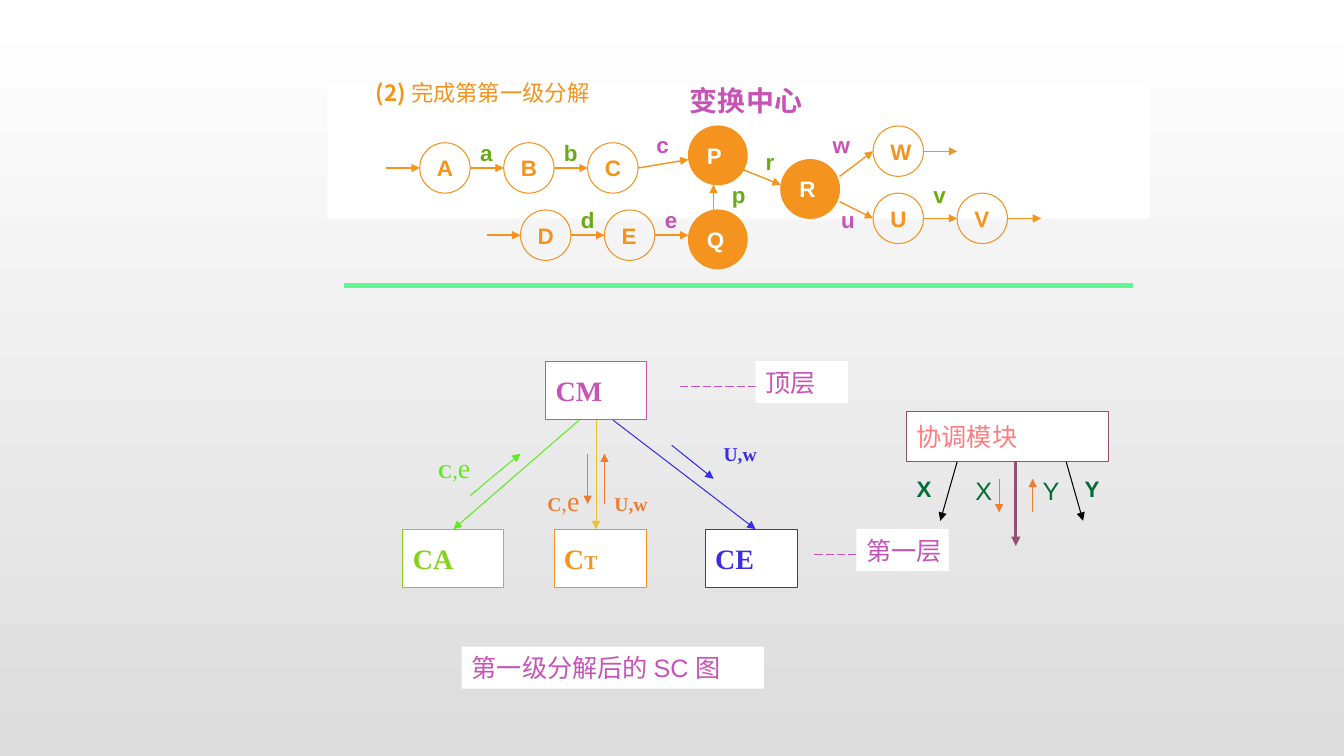
from lxml.etree import SubElement
from pptx import Presentation
from pptx.dml.color import RGBColor
from pptx.enum.dml import MSO_LINE
from pptx.enum.shapes import MSO_CONNECTOR, MSO_SHAPE
from pptx.enum.text import MSO_ANCHOR, MSO_AUTO_SIZE, PP_ALIGN
from pptx.oxml.ns import qn
from pptx.util import Inches, Pt

THEME = {
    "white": "FFFFFF", "gray": "DCDCDC", "black": "000000", "orange": "F4931E",
    "purple": "C753B6", "leaf": "6AAA14", "lime": "83D319", "bright": "5FE921",
    "mint": "61F793", "blue": "3A2DE5", "gold": "EBC22B", "rust": "ED7D31",
    "plum": "954F72", "pink": "FF7C80", "forest": "046C36",
    "sans": "Arial", "serif": "Times New Roman", "cjk": "Noto Sans CJK SC",
    "small": 14, "label": 16, "caption": 18, "module": 20,
}

# Positions and sizes are in grid units of one twelfth of an inch.
GRID = 12
TITLE = [("(2) ", "label", True), ("完成第第一级分解", "label", False)]
TITLE_AREA = (43, 8, 29, 6)
BAND = (39, 10, 98, 16)

# name, left, top
PROCESSES = [("A", 50, 17), ("B", 60, 17), ("C", 70, 17), ("D", 62, 25),
             ("E", 72, 25), ("W", 104, 15), ("U", 104, 23), ("V", 114, 23)]
CENTRE_PROCESSES = [("P", 82, 15), ("Q", 82, 25), ("R", 93, 19)]

# from x, from y, to x, to y
FLOWS = [(46, 20, 50, 20), (56, 20, 60, 20), (66, 20, 70, 20), (76, 20, 82, 19),
         (58, 28, 62, 28), (68, 28, 72, 28), (78, 28, 82, 28), (85, 25, 85, 22),
         (88, 20, 93, 22), (100, 21, 104, 18), (100, 24, 104, 26),
         (110, 18, 114, 18), (110, 26, 114, 26), (120, 26, 124, 26)]

# name, left, top, width in inches, colour
FLOW_LABELS = [
    ("a", 56, 16, 0.32, "leaf"), ("b", 66, 16, 0.33, "leaf"),
    ("c", 77, 15, 0.32, "purple"), ("d", 68, 24, 0.33, "leaf"),
    ("e", 78, 24, 0.32, "purple"), ("p", 86, 21, 0.33, "leaf"),
    ("r", 90, 17, 0.28, "leaf"), ("w", 98, 15, 0.37, "purple"),
    ("u", 99, 24, 0.33, "purple"), ("v", 110, 21, 0.32, "leaf"),
]

# runs, area, text colour, border colour, font
BOXES = [
    ([("CM", "module", True)], (65, 43, 12, 7), "purple", "purple", "serif"),
    ([("CA", "module", True)], (48, 63, 12, 7), "lime", "lime", "serif"),
    ([("C", "module", True), ("T", "small", True)], (66, 63, 11, 7),
     "orange", "orange", "serif"),
    ([("CE", "module", True)], (84, 63, 11, 7), "blue", "blue", "serif"),
    ([("顶层", "caption", False)], (90, 43, 11, 5), "purple", None, "serif"),
    ([("第一层", "caption", False)], (102, 63, 11, 5), "purple", None, "serif"),
    ([("第一级分解后的 SC 图", "caption", False)], (55, 77, 36, 5),
     "purple", None, "sans"),
    ([("协调模块", "caption", False)], (108, 49, 24, 6), "pink", "plum", "serif"),
]

# ends, colour, width in points
CALLS = [
    ((71, 50, 71, 63), "gold", 0.75), ((73, 50, 90, 63), "blue", 0.75),
    ((69, 50, 54, 63), "bright", 0.75), ((56, 59, 62, 54), "bright", 0.75),
    ((70, 54, 70, 60), "rust", 0.75), ((72, 60, 72, 54), "rust", 0.75),
    ((80, 53, 85, 57), "blue", 0.75), ((121, 55, 121, 65), "plum", 2.25),
    ((119, 57, 119, 61), "rust", 0.75), ((123, 61, 123, 57), "rust", 0.75),
    ((114, 55, 112, 62), "black", 0.75), ((127, 55, 129, 62), "black", 0.75),
]
LEVEL_LINES = [(81, 46, 90, 46), (97, 66, 102, 66)]
DIVIDER = (41, 34, 135, 34)

INPUT_PAIR = [("C", "small", True), (",", "label", False), ("e", "module", False)]
OUTPUT_PAIR = [("U,w", "small", True)]
# runs, left, top, width in inches, colour, font
CALL_LABELS = [
    (INPUT_PAIR, 51, 53, 0.52, "bright", "serif"),
    (INPUT_PAIR, 64, 57, 0.52, "rust", "serif"),
    (OUTPUT_PAIR, 72, 58, 0.53, "rust", "serif"),
    (OUTPUT_PAIR, 85, 52, 0.53, "blue", "serif"),
    ([("X", "label", True)], 108, 56, 0.35, "forest", "sans"),
    ([("X", "caption", False)], 115, 56, 0.36, "forest", "sans"),
    ([("Y", "caption", False)], 123, 56, 0.36, "forest", "sans"),
    ([("Y", "label", True)], 128, 56, 0.35, "forest", "sans"),
]
CENTRE_LABEL = ([("变换中心", "module", True)], (81, 9, 20, 6), "purple", "cjk")


def color(name):
    return RGBColor.from_string(THEME[name])


def units(values):
    return [Inches(value / GRID) for value in values]


def write(shape, runs, ink, font, anchor=MSO_ANCHOR.MIDDLE, align=PP_ALIGN.LEFT,
          fit=MSO_AUTO_SIZE.NONE):
    frame = shape.text_frame
    frame_format = {"word_wrap": False, "auto_size": fit, "vertical_anchor": anchor}
    for name, value in frame_format.items():
        setattr(frame, name, value)
    para = frame.paragraphs[0]
    para.alignment = align
    for text, size, bold in runs:
        span = para.add_run()
        span.text = text
        span_format = {"name": THEME[font], "size": Pt(THEME[size]), "bold": bold}
        for name, value in span_format.items():
            setattr(span.font, name, value)
        span.font.color.rgb = color(ink)
        east_asian = SubElement(span.font._element, qn("a:ea"))
        east_asian.set("typeface", THEME["cjk"])


def add_block(page, kind, area, fill=None, border=None):
    shape = page.shapes.add_shape(kind, *units(area))
    shape.shadow.inherit = False
    if fill:
        shape.fill.solid()
        shape.fill.fore_color.rgb = color(fill)
    else:
        shape.fill.background()
    if border:
        shape.line.color.rgb = color(border)
        shape.line.width = Pt(0.75)
    else:
        shape.line.fill.background()
    return shape


def add_line(page, ends, ink, width, arrow=True, dash=None):
    line = page.shapes.add_connector(MSO_CONNECTOR.STRAIGHT, *units(ends))
    line.line.color.rgb = color(ink)
    line.line.width = Pt(width)
    if dash:
        line.line.dash_style = dash
    if arrow:
        SubElement(line.line._get_or_add_ln(), qn("a:tailEnd")).set("type", "triangle")
    SubElement(line._element.spPr, qn("a:effectLst"))


def add_label(page, runs, left, top, width, ink, font):
    """Add a top-anchored label one line of its largest type high."""
    height = 0.1 + max(THEME[size] for _, size, _ in runs) / 60
    box = page.shapes.add_textbox(*units((left, top)), Inches(width), Inches(height))
    write(box, runs, ink, font, MSO_ANCHOR.TOP, fit=MSO_AUTO_SIZE.SHAPE_TO_FIT_TEXT)


def add_title(page):
    title = page.shapes.title
    for name, value in zip(("left", "top", "width", "height"), units(TITLE_AREA)):
        setattr(title, name, value)
    write(title, TITLE, "orange", "cjk", align=PP_ALIGN.CENTER)
    band = add_block(page, MSO_SHAPE.RECTANGLE, BAND, "white")
    title._element.addprevious(band._element)


def add_data_flow(page):
    for ends in FLOWS:
        add_line(page, ends, "orange", 1)
    for nodes, size, fill, ink in ((PROCESSES, 6, None, "orange"),
                                   (CENTRE_PROCESSES, 7, "orange", "white")):
        for name, left, top in nodes:
            circle = add_block(page, MSO_SHAPE.OVAL, (left, top, size, size),
                               fill, "orange")
            write(circle, [(name, "label", True)], ink, "sans")
    for name, left, top, width, ink in FLOW_LABELS:
        add_label(page, [(name, "label", True)], left, top, width, ink, "sans")
    runs, area, ink, font = CENTRE_LABEL
    write(page.shapes.add_textbox(*units(area)), runs, ink, font)


def add_structure_chart(page):
    for ends in LEVEL_LINES:
        add_line(page, ends, "purple", 0.75, False, MSO_LINE.LONG_DASH)
    for runs, area, ink, border, font in BOXES:
        write(add_block(page, MSO_SHAPE.RECTANGLE, area, "white", border),
              runs, ink, font)
    for ends, ink, width in CALLS:
        add_line(page, ends, ink, width)
    for label in CALL_LABELS:
        add_label(page, *label)


def main():
    deck = Presentation()
    deck.slide_width, deck.slide_height = Inches(13.34), Inches(7.5)
    page = deck.slides.add_slide(deck.slide_layouts[5])
    backdrop = page.background.fill
    backdrop.gradient()
    backdrop.gradient_angle = 270
    for stop, name in zip(backdrop.gradient_stops, ("white", "gray")):
        stop.color.rgb = color(name)
    add_title(page)
    add_data_flow(page)
    add_line(page, DIVIDER, "mint", 3, False)
    add_structure_chart(page)
    deck.save("out.pptx")


if __name__ == "__main__":
    main()
